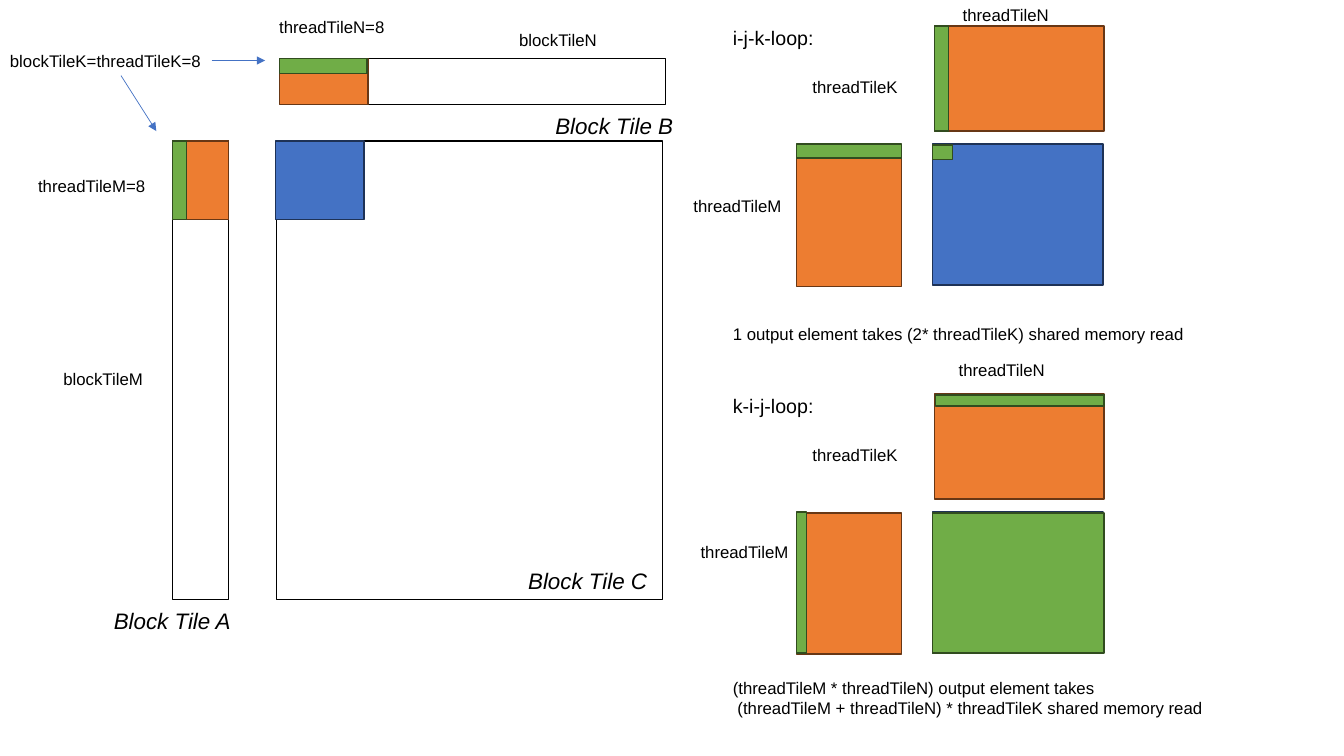
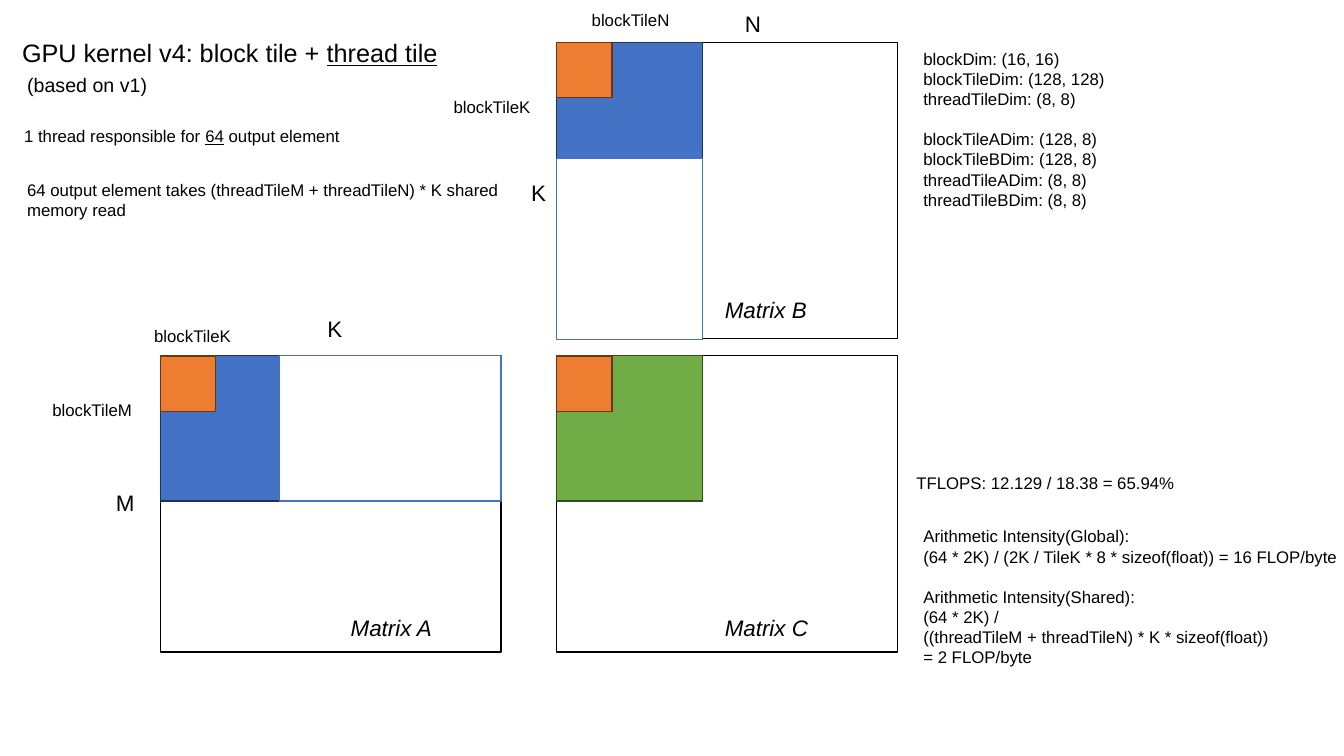
from lxml import etree
from pptx import Presentation
from pptx.dml.color import RGBColor
from pptx.enum.shapes import MSO_CONNECTOR as Connector, MSO_SHAPE as Shape
from pptx.enum.text import MSO_ANCHOR as Anchor
from pptx.oxml.ns import qn
from pptx.util import Emu, Pt

PX = 9144  # 100 px to the inch
COLORS = {
    "white": "FFFFFF", "black": "000000",
    "orange": "ED7D31", "dark orange": "683715",
    "blue": "4472C4", "dark blue": "1E3256",
    "green": "70AD47", "dark green": "314C1F",
}
FONT = "Arial"
LABEL, HEADING, NAME, TITLE = 12, 14, 16, 18


def px(*lengths):
    return [Emu(length * PX) for length in lengths]


def color(name):
    return RGBColor.from_string(COLORS[name])


class Sketch:
    """Holds the deck, its style and the current page."""

    def __init__(self):
        self.deck = Presentation()
        self.deck.slide_width, self.deck.slide_height = px(1333, 750)
        self.page = None

    def new_page(self):
        self.page = self.deck.slides.add_slide(self.deck.slide_layouts[6])

    def block(self, left, top, width, height, fill="white", line="black"):
        box = self.page.shapes.add_shape(
            Shape.RECTANGLE, *px(left, top, width, height))
        box.shadow.inherit = False
        box.fill.solid()
        box.fill.fore_color.rgb = color(fill)
        box.line.color.rgb = color(line)
        box.line.width = Pt(1)

    def tile(self, left, top, width, height, hue):
        self.block(left, top, width, height, hue, f"dark {hue}")

    def arrow(self, *ends):
        line = self.page.shapes.add_connector(Connector.STRAIGHT, *px(*ends))
        line.line.color.rgb = color("blue")
        line.line.width = Pt(0.5)
        outline = line.line._get_or_add_ln()
        etree.SubElement(outline, qn("a:tailEnd"), type="triangle")
        etree.SubElement(line._element.spPr, qn("a:effectLst"))

    def text(self, left, top, width, content, size=LABEL, rows=0, **style):
        """Underscores enclose underlined words; an empty line is a gap."""
        lines = content.split("\n")
        height = 10 + round((rows or len(lines)) * size * 1.2 / 72 * 100)
        box = self.page.shapes.add_textbox(*px(left, top, width, height))
        frame = box.text_frame
        frame.word_wrap = True
        frame.vertical_anchor = Anchor.TOP
        gap, para = False, None
        for line in lines:
            if not line:
                gap = True
                continue
            para = frame.add_paragraph() if para else frame.paragraphs[0]
            if gap:
                para.space_before = Pt(size * 1.2)
                gap = False
            for index, words in enumerate(line.split("_")):
                if not words:
                    continue
                span = para.add_run()
                span.text = words
                values = {"name": FONT, "size": Pt(size), **style}
                if index % 2:
                    values["underline"] = True
                for key, value in values.items():
                    setattr(span.font, key, value)
                span.font.color.rgb = color("black")

    def save(self):
        self.deck.save("out.pptx")


def loop_panel(sketch, shift, heading, strips, labels, summary):
    """One loop order: thread tiles A, B and C with the parts in use."""
    sketch.tile(925, 143 + shift, 169, 140, "blue")
    sketch.tile(790, 144 + shift, 104, 140, "orange")
    sketch.tile(927, 26 + shift, 168, 104, "orange")
    for strip in strips:
        sketch.tile(*strip, "green")
    sketch.text(717, 21 + shift, 271, heading, HEADING)
    sketch.text(796, 71 + shift, 164, "threadTileK")
    for left, top, words in labels:
        sketch.text(left, top, 164, words)
    sketch.text(717, *summary)


def thread_tile_page(sketch):
    sketch.new_page()

    # Block tiles B, C and A
    for place in ((278, 58, 382, 46), (274, 140, 383, 455), (171, 140, 56, 455)):
        sketch.block(*place)

    # Thread tiles and the strips in use
    for *place, hue in (
        (277, 58, 88, 46, "orange"),
        (171, 140, 56, 78, "orange"),
        (273, 140, 88, 78, "blue"),
        (171, 140, 14, 78, "green"),
        (277, 58, 87, 15, "green"),
    ):
        sketch.tile(*place, hue)
    sketch.arrow(210, 60, 263, 60)
    sketch.arrow(120, 75, 155, 130)

    # Labels
    for label in (
        (0, 45, 239, "blockTileK=threadTileK=8"),
        (53, 361, 126, "blockTileM"),
        (505, 25, 115, "blockTileN"),
        (28, 169, 164, "threadTileM=8"),
        (267, 12, 142, "threadTileN=8"),
    ):
        sketch.text(*label)
    for left, top, letter in ((103, 597, "A"), (541, 106, "B"), (514, 558, "C")):
        sketch.text(left, top, 169, f"Block Tile {letter}", NAME, italic=True)

    # Loop orders
    loop_panel(
        sketch, 0, "i-j-k-loop:",
        ((790, 143, 104, 14), (927, 26, 14, 104), (925, 144, 20, 14)),
        ((678, 189, "threadTileM"), (945, 0, "threadTileN")),
        (316, 545, "1 output element takes (2* threadTileK) shared memory read"))
    loop_panel(
        sketch, 365, "k-i-j-loop:",
        ((790, 508, 10, 140), (928, 392, 167, 11), (925, 509, 170, 139)),
        ((685, 533, "threadTileM"), (941, 352, "threadTileN")),
        (667, 500, "(threadTileM * threadTileN) output element takes\n"
                   " (threadTileM + threadTileN) * threadTileK shared memory read"))


def block_tile_page(sketch):
    sketch.new_page()
    left, right, upper, lower = 159, 552, 42, 353
    matrices = {"A": (left, lower), "B": (right, upper), "C": (right, lower)}

    # Matrices, block tiles and thread tiles
    for corner in matrices.values():
        sketch.block(*corner, 338, 294)
    sketch.tile(*matrices["A"], 118, 144, "blue")
    sketch.tile(*matrices["B"], 145, 115, "blue")
    sketch.block(left + 118, lower, 220, 144, line="blue")
    sketch.block(right, upper + 115, 145, 180, line="blue")
    sketch.tile(*matrices["C"], 145, 144, "green")
    for corner in matrices.values():
        sketch.tile(*corner, 55, 55, "orange")

    # Matrix names and dimensions
    for x, y, letter in ((338, 604, "A"), (709, 289, "B"), (709, 604, "C")):
        sketch.text(x, y, 169, f"Matrix {letter}", NAME, italic=True)
    for x, y, letter in ((517, 173, "K"), (315, 308, "K"),
                         (105, 480, "M"), (729, 5, "N")):
        sketch.text(x, y, 43, letter, NAME)
    for x, y, letter in ((143, 318, "K"), (440, 91, "K"),
                         (42, 392, "M"), (577, 5, "N")):
        sketch.text(x, y, 132, f"blockTile{letter}")

    # Title and explanation
    sketch.text(12, 32, 438, "GPU kernel v4: block tile + _thread tile_", TITLE)
    sketch.text(17, 67, 545, "(based on v1)", HEADING)
    sketch.text(14, 120, 545, "1 thread responsible for _64_ output element")
    sketch.text(17, 173, 545, "64 output element takes (threadTileM + threadTileN)"
                " * K shared memory read", rows=2)

    # Sizes and results
    sketch.text(906, 43, 373, "blockDim: (16, 16)\nblockTileDim: (128, 128)\n"
                "threadTileDim: (8, 8)\n\nblockTileADim: (128, 8)\n"
                "blockTileBDim: (128, 8)\nthreadTileADim: (8, 8)\n"
                "threadTileBDim: (8, 8)")
    sketch.text(899, 464, 373, "TFLOPS: 12.129 / 18.38 = 65.94%")
    sketch.text(906, 517, 460, "Arithmetic Intensity(Global):\n"
                "(64 * 2K) / (2K / TileK * 8 * sizeof(float)) = 16 FLOP/byte")
    sketch.text(906, 577, 460, "Arithmetic Intensity(Shared):\n(64 * 2K) /\n"
                "((threadTileM + threadTileN) * K * sizeof(float))\n"
                "= 2 FLOP/byte")


def main():
    sketch = Sketch()
    thread_tile_page(sketch)
    block_tile_page(sketch)
    sketch.save()


if __name__ == "__main__":
    main()
